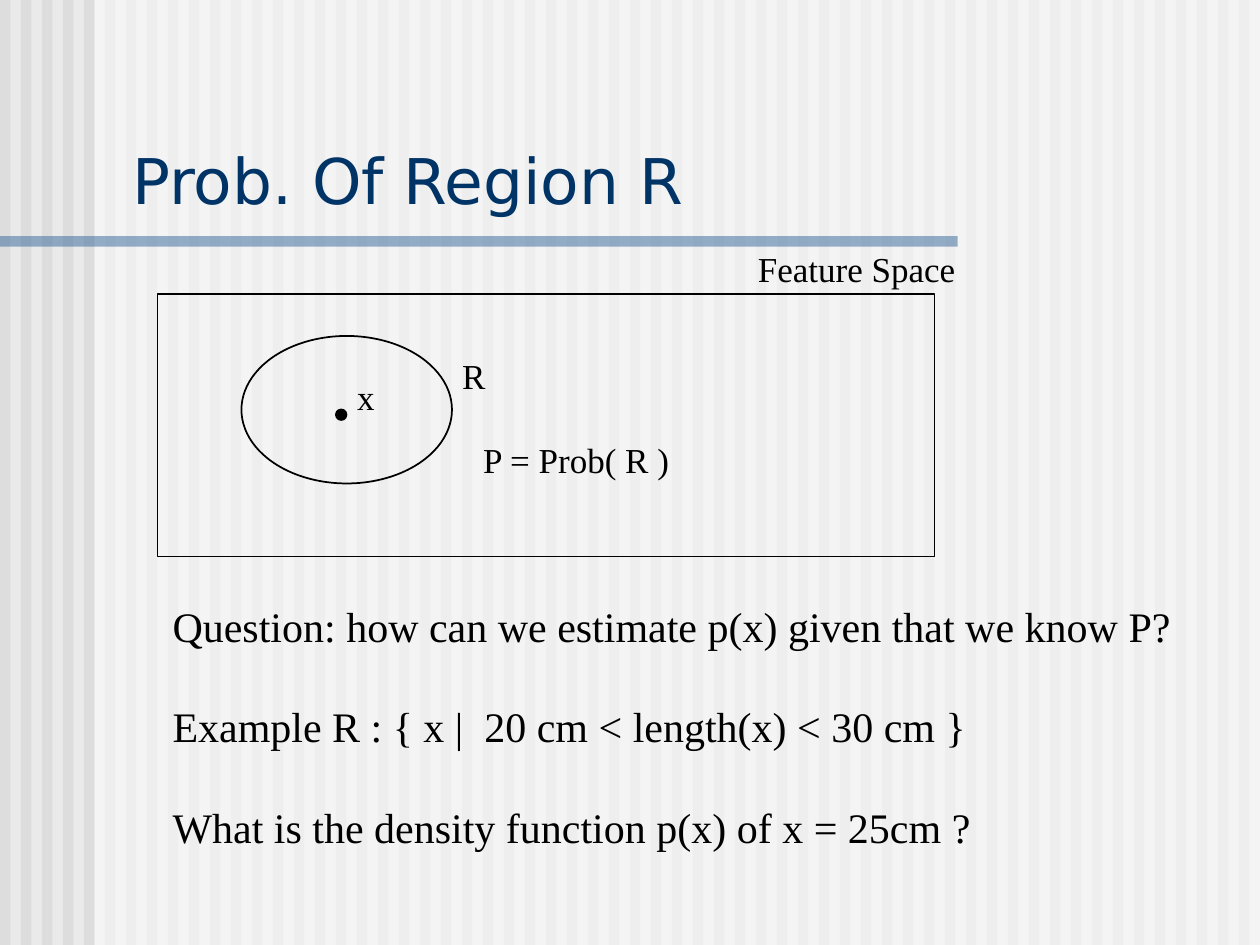
import lxml.etree
import pptx
import pptx.dml.color
import pptx.enum.shapes
import pptx.enum.text
import pptx.oxml.ns
import pptx.util

Pt = pptx.util.Pt
RGBColor = pptx.dml.color.RGBColor
SHAPE = pptx.enum.shapes.MSO_SHAPE
ANCHOR = pptx.enum.text.MSO_ANCHOR
qn = pptx.oxml.ns.qn

PAPER = RGBColor(0xEA, 0xEA, 0xEA)
STRIPE = RGBColor(0xDD, 0xDD, 0xDD)
WHITE = RGBColor(0xFF, 0xFF, 0xFF)
BAR = RGBColor(0x33, 0x66, 0x99)
NAVY = RGBColor(0x00, 0x33, 0x66)
BLACK = RGBColor(0x00, 0x00, 0x00)
SERIF = "Times New Roman"
SANS = "DejaVu Sans"


def add_figure(s, kind, x, y, w, h, fill=None, line=None, alpha=None):
    """Add a preset shape with optional fill, outline and opacity percentage."""
    sp = s.shapes.add_shape(kind, Pt(x), Pt(y), Pt(w), Pt(h))
    sp.shadow.inherit = False
    if fill is None:
        sp.fill.background()
    else:
        sp.fill.solid()
        sp.fill.fore_color.rgb = fill
    if alpha is not None:
        clr = sp.element.spPr.find(qn("a:solidFill")).find(qn("a:srgbClr"))
        lxml.etree.SubElement(clr, qn("a:alpha"), val=str(alpha * 1000))
    if line is None:
        sp.line.fill.background()
    else:
        sp.line.color.rgb = line
        sp.line.width = Pt(1)


def add_text(s, x, y, w, h, lines, size, font=SERIF, color=BLACK,
             gap=0, anchor=ANCHOR.TOP, wrap=False):
    """Add a text box with one paragraph per line, set apart by gap."""
    tf = s.shapes.add_textbox(Pt(x), Pt(y), Pt(w), Pt(h)).text_frame
    tf.word_wrap = wrap
    tf.vertical_anchor = anchor
    for i, line in enumerate(lines):
        p = tf.add_paragraph() if i else tf.paragraphs[0]
        if i:
            p.space_before = Pt(gap)
        r = p.add_run()
        r.text = line
        r.font.size = Pt(size)
        r.font.name = font
        r.font.color.rgb = color


def add_backdrop(s, x, y, w, h):
    """Stripe the box evenly and veil all but its left margin."""
    s.background.fill.solid()
    s.background.fill.fore_color.rgb = PAPER
    pitch, margin = 12, 54
    for i in range(w // pitch):
        add_figure(s, SHAPE.RECTANGLE, x + i * pitch, y, pitch / 2, h, STRIPE)
    add_figure(s, SHAPE.RECTANGLE, x + margin, y, w - margin, h, WHITE, alpha=50)


def add_title(s, x, y, w, h):
    """Set the title above its translucent bar."""
    add_text(s, x + 68.6, y, w - 77, h - 13.4, ["Prob. Of Region R"], 36, SANS,
             NAVY, anchor=ANCHOR.BOTTOM, wrap=True)
    add_figure(s, SHAPE.RECTANGLE, x, y + h - 6, 547.2, 6, BAR, alpha=50)


def add_feature_space(s, x, y, w, h):
    """Draw the feature space with region R around the point x."""
    add_figure(s, SHAPE.RECTANGLE, x, y, w, h, line=BLACK)
    add_figure(s, SHAPE.OVAL, x + 48, y + 24, 120.3, 84.3, line=BLACK)
    add_figure(s, SHAPE.OVAL, x + 102, y + 66, 6, 6, BLACK, BLACK)
    labels = [
        ("Feature Space", 336, -30, 127.4),
        ("R", 167, 31.2, 27.4),
        ("x", 107, 43.2, 24.5),
        ("P = Prob( R )", 179, 79.2, 121),
    ]
    for label, dx, dy, width in labels:
        add_text(s, x + dx, y + dy, width, 31.7, [label], 20)


def add_questions(s, x, y, w, h):
    """List the question, the example and the follow-up."""
    lines = [
        "Question: how can we estimate p(x) given that we know P?",
        "Example R : { x |  20 cm < length(x) < 30 cm }",
        "What is the density function p(x) of x = 25cm ?",
    ]
    add_text(s, x, y, w, h, lines, 24, gap=28.8, wrap=True)


def main():
    """Build and save the slide."""
    prs = pptx.Presentation()
    prs.slide_width, prs.slide_height = Pt(720), Pt(540)
    s = prs.slides.add_slide(prs.slide_layouts[6])
    add_backdrop(s, 0, 0, 720, 540)
    add_title(s, 0, 77, 720, 64)
    add_feature_space(s, 90, 168, 444, 150)
    add_questions(s, 91.5, 339.4, 600, 151)
    prs.save("out.pptx")


if __name__ == "__main__":
    main()
